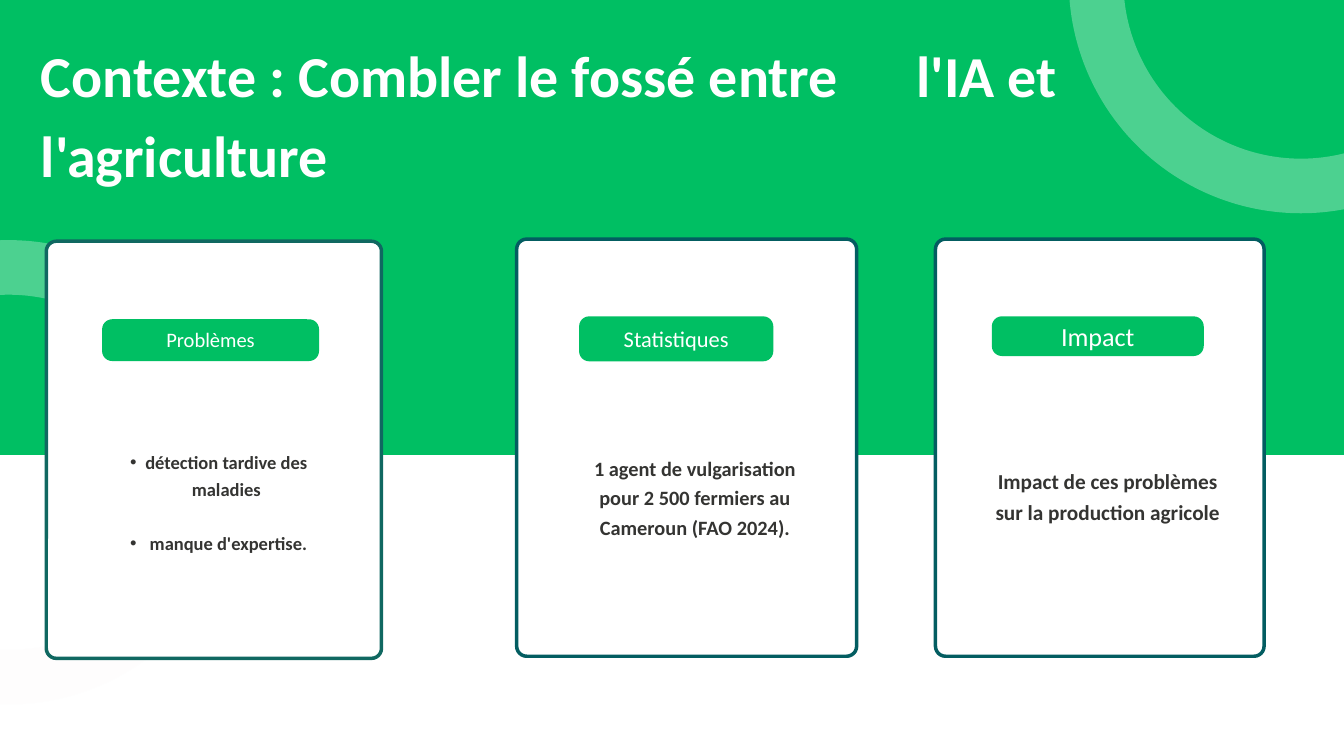
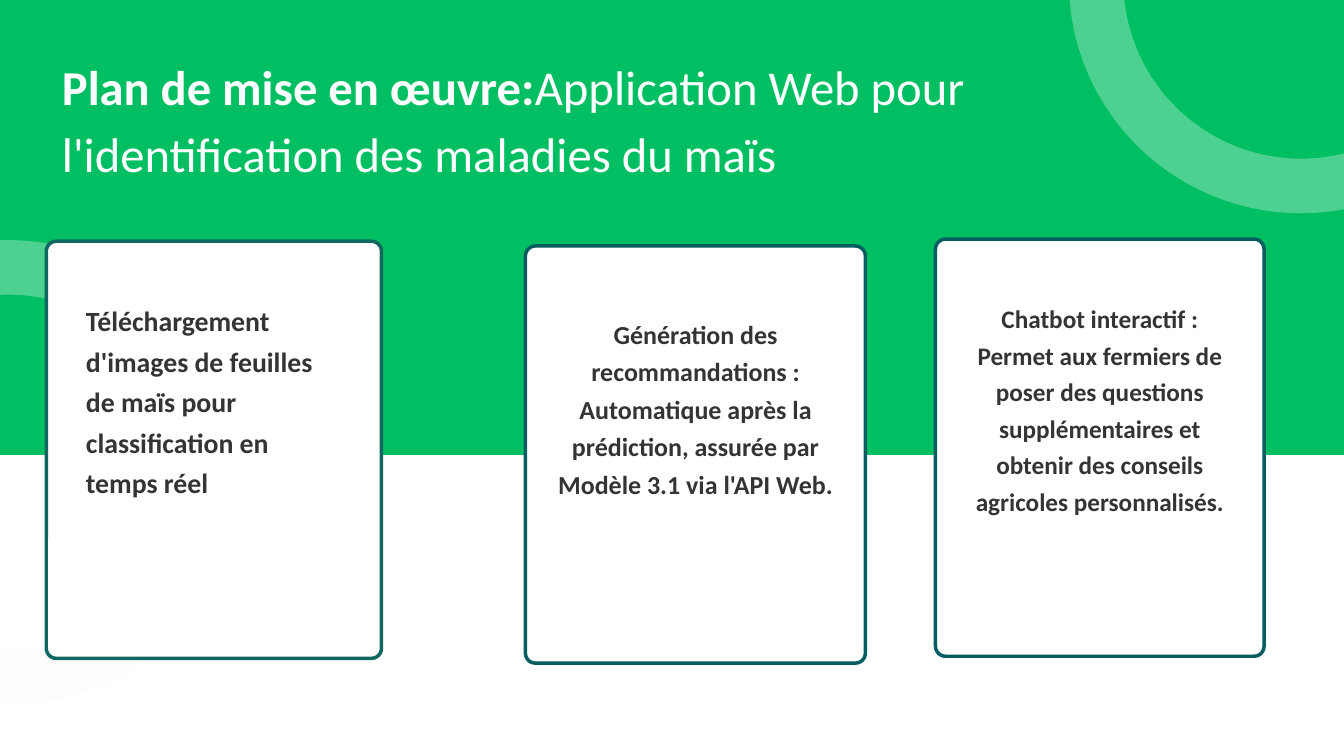
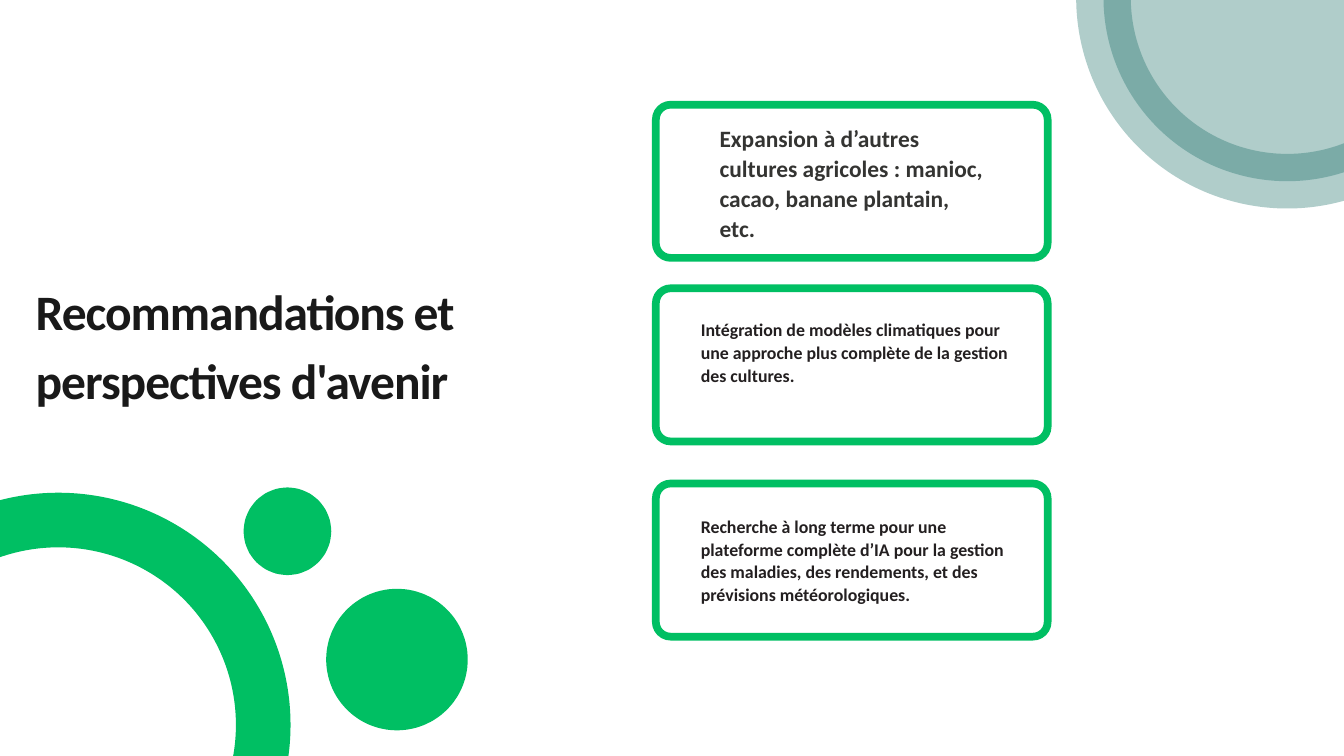
from dataclasses import dataclass

from lxml import etree
from pptx import Presentation
from pptx import util as u
from pptx.dml.color import RGBColor
from pptx.enum import shapes, text
from pptx.oxml import ns


@dataclass(frozen=True)
class Theme:
    font: str = "Calibri"
    green: str = "00BF63"
    teal: str = "106861"
    deep_teal: str = "035D61"
    mist: str = "FDFBFB"
    white: str = "FFFFFF"
    ink: str = "191919"
    body: str = "343432"
    box_ink: str = "231F20"
    ring_line: float = 58.5
    card_line: float = 3.75
    box_line: float = 8.25
    card_corner: float = 0.38
    box_corner: float = 0.56


THEME = Theme()
LEFT, CENTER = text.PP_ALIGN.LEFT, text.PP_ALIGN.CENTER
OVAL, RECTANGLE, ROUNDED = (
    shapes.MSO_SHAPE.OVAL,
    shapes.MSO_SHAPE.RECTANGLE,
    shapes.MSO_SHAPE.ROUNDED_RECTANGLE,
)

SLIDE_SIZE = (50.8, 28.58)
BAND = (-0.86, -0.61, 51.66, 17.81)
RING = 15.49
SIDE_RING = (-7.42, 10.11)
CORNER_RING = (41.43, -8.46)
CARD_HEIGHT = 15.77
LEFT_CARD = (1.75, 9.12, 12.67, THEME.teal)
RIGHT_CARD = (35.36, 9.04, 12.42, THEME.deep_teal)
PILL_BOTTOM_INSET = 0.18

CARD_SLIDES = [
    {
        "title": {
            "at": (1.55, 1.12, 39.88, 5.92),
            "runs": [("Contexte : Combler le fossé entre\tl'IA et l'agriculture", True)],
            "size": 62.1, "leading": 85.6, "tab": 33.1,
        },
        "cards": [LEFT_CARD, (19.53, 9.04, 12.85, THEME.deep_teal), RIGHT_CARD],
        "texts": [
            {"at": (3.58, 16.89, 8.76, 5.99), "size": 19.8, "leading": 28.8, "bullets": True,
             "lines": ["détection tardive des maladies", " manque d'expertise."]},
            {"at": (21.89, 17.04, 8.76, 4.39), "size": 21.8, "leading": 31.7,
             "lines": ["1 agent de vulgarisation pour 2 500 fermiers au Cameroun (FAO 2024)."]},
            {"at": (37.49, 17.5, 8.76, 3.45), "size": 22.8, "leading": 33.1,
             "lines": ["Impact de ces problèmes sur la production agricole"]},
        ],
        "pills": [
            ("Problèmes", (3.86, 12.07, 8.2, 1.58), 22, 30.4),
            ("Statistiques", (21.89, 11.96, 7.34, 1.7), 24, 33.1),
            ("Impact", (37.49, 11.96, 8.01, 1.5), 28, 38.6),
        ],
    },
    {
        "title": {
            "at": (2.34, 1.83, 39.88, 5.38),
            "runs": [
                ("Plan de mise en œuvre:", True),
                ("Application Web pour l'identification des maladies du maïs", False),
            ],
            "size": 52.1, "leading": 71.8,
        },
        "cards": [LEFT_CARD, (19.86, 9.3, 12.85, THEME.deep_teal), RIGHT_CARD],
        "texts": [
            {"at": (3.25, 11.23, 8.76, 8.99), "size": 29.8, "leading": 43.3, "align": LEFT,
             "lines": ["Téléchargement d'images de feuilles de maïs pour classification en temps réel"]},
            {"at": (20.73, 11.79, 11.13, 8.43), "size": 27.8, "leading": 40.2,
             "lines": ["Génération des recommandations : Automatique après la prédiction, "
                       "assurée par Modèle 3.1 via l'API Web."]},
            {"at": (36.4, 11.25, 10.34, 10.95), "size": 27, "leading": 39.1,
             "lines": ["Chatbot interactif : Permet aux fermiers de poser des questions "
                       "supplémentaires et obtenir des conseils agricoles personnalisés."]},
        ],
        "pills": [],
    },
]

OUTLOOK_TITLE = {
    "at": (1.35, 10.24, 21.18, 5.13),
    "runs": [("Recommandations et perspectives d'avenir", True)],
    "size": 53.1, "leading": 74.3, "color": THEME.ink, "tracking": -1.1,
}
OUTLOOK_RING = (-5.54, 19.66)
OUTLOOK_DOTS = [(10.24, 19.46, 1.25), (13.36, 23.29, 3.29)]
OUTLOOK_CORNER = (41.71, -7.04, 13.89)
BOX_LEFT, BOX_WIDTH, BOX_HEIGHT = 24.79, 14.81, 5.79
OUTLOOK_BOXES = [
    (3.96, {"at": (27.2, 4.62, 9.98, 4.45), "size": 25.1, "leading": 32.1, "color": THEME.body,
            "lines": ["Expansion à d’autres cultures agricoles : manioc, cacao, banane plantain, etc."]}),
    (10.9, {"at": (26.49, 12.01, 11.61, 3.35), "size": 19.1, "leading": 24.5, "color": THEME.box_ink,
            "lines": ["Intégration de modèles climatiques pour une approche plus complète "
                      "de la gestion des cultures."]}),
    (18.28, {"at": (26.49, 19.43, 11.61, 4.22), "size": 19.1, "leading": 24.5, "color": THEME.box_ink,
             "lines": ["Recherche à long terme pour une plateforme complète d’IA pour la gestion "
                       "des maladies, des rendements, et des prévisions météorologiques."]}),
]


def apply(target, values):
    for name, value in values.items():
        setattr(target, name, value)


def cm(lengths):
    return [u.Cm(length) for length in lengths]


def add_xml(parent, tag, **attributes):
    return etree.SubElement(parent, ns.qn(tag), attributes)


def set_opacity(fill_element, opacity):
    color = fill_element.find(".//" + ns.qn("a:srgbClr"))
    add_xml(color, "a:alpha", val=str(opacity * 1000))


def draw(slide, kind, at, fill=None, line=None, width=0, opacity=100, corner=None):
    shape = slide.shapes.add_shape(kind, *cm(at))
    shape.shadow.inherit = False
    if corner:
        shape.adjustments[0] = corner / min(at[2:])
    for paint, color in ((shape.fill, fill), (shape.line.fill, line)):
        if color is None:
            paint.background()
        else:
            paint.solid()
            paint.fore_color.rgb = RGBColor.from_string(color)
    if line:
        shape.line.width = u.Pt(width)
    if opacity < 100:
        for element in shape.element.spPr.iter(ns.qn("a:solidFill")):
            set_opacity(element, opacity)
    return shape


def draw_ring(slide, corner, color, opacity=100):
    draw(slide, OVAL, (*corner, RING, RING), line=color, width=THEME.ring_line, opacity=opacity)


def write(frame, paragraphs, size, leading, color, align=LEFT, anchor=text.MSO_ANCHOR.TOP,
          bottom=0, bullets=False, tab=None, tracking=None):
    apply(frame, {"word_wrap": True, "vertical_anchor": anchor, "margin_left": 0,
                  "margin_right": 0, "margin_top": 0, "margin_bottom": u.Cm(bottom)})
    for index, runs in enumerate(paragraphs):
        paragraph = frame.add_paragraph() if index else frame.paragraphs[0]
        before = leading if index else 0
        apply(paragraph, {"alignment": align, "line_spacing": u.Pt(leading),
                          "space_before": u.Pt(before)})
        properties = paragraph._p.get_or_add_pPr()
        if bullets:
            paragraph.level = 1
            properties.set("marL", str(u.Cm(1.19)))
            properties.set("indent", str(u.Cm(-0.58)))
            add_xml(properties, "a:buFont", typeface="Arial")
            add_xml(properties, "a:buChar", char="•")
        if tab:
            add_xml(add_xml(properties, "a:tabLst"), "a:tab", pos=str(u.Cm(tab)), algn="l")
        for words, bold in runs:
            run = paragraph.add_run()
            run.text = words
            apply(run.font, {"name": THEME.font, "size": u.Pt(size), "bold": bold})
            run.font.color.rgb = RGBColor.from_string(color)
            if tracking:
                run._r.get_or_add_rPr().set("spc", str(round(tracking * 100)))


def add_title(slide, at, runs, color=THEME.white, **style):
    write(slide.shapes.add_textbox(*cm(at)).text_frame, [runs], color=color, **style)


def add_body(slide, at, lines, color=THEME.body, **style):
    paragraphs = [[(line, True)] for line in lines]
    write(slide.shapes.add_textbox(*cm(at)).text_frame, paragraphs, color=color, **style)


def add_pill(slide, label, at, size, leading):
    pill = draw(slide, ROUNDED, at, fill=THEME.green, corner=THEME.card_corner)
    write(pill.text_frame, [[(label, False)]], size, leading, THEME.white, CENTER,
          text.MSO_ANCHOR.MIDDLE, PILL_BOTTOM_INSET)


def build_card_slide(slide, content):
    draw(slide, RECTANGLE, BAND, fill=THEME.green)
    draw_ring(slide, SIDE_RING, THEME.mist, 30)
    for left, top, width, line in content["cards"]:
        draw(slide, ROUNDED, (left, top, width, CARD_HEIGHT), THEME.white, line,
             THEME.card_line, corner=THEME.card_corner)
    add_title(slide, **content["title"])
    for body in content["texts"]:
        add_body(slide, **{"align": CENTER, **body})
    for pill in content["pills"]:
        add_pill(slide, *pill)
    draw_ring(slide, CORNER_RING, THEME.mist, 30)


def build_outlook_slide(slide):
    add_title(slide, **OUTLOOK_TITLE)
    draw_ring(slide, OUTLOOK_RING, THEME.green)
    for left, top, size in OUTLOOK_DOTS:
        draw(slide, OVAL, (left, top, size, size), THEME.green, THEME.green, THEME.ring_line)
    left, top, size = OUTLOOK_CORNER
    draw(slide, OVAL, (left, top, size, size), THEME.teal, THEME.teal, THEME.ring_line, 33)
    for top, body in OUTLOOK_BOXES:
        draw(slide, ROUNDED, (BOX_LEFT, top, BOX_WIDTH, BOX_HEIGHT), THEME.white, THEME.green,
             THEME.box_line, corner=THEME.box_corner)
        add_body(slide, **body)


def main():
    presentation = Presentation()
    presentation.slide_width, presentation.slide_height = cm(SLIDE_SIZE)
    blank = presentation.slide_layouts[6]
    for content in CARD_SLIDES:
        build_card_slide(presentation.slides.add_slide(blank), content)
    build_outlook_slide(presentation.slides.add_slide(blank))
    presentation.save("out.pptx")


if __name__ == "__main__":
    main()
